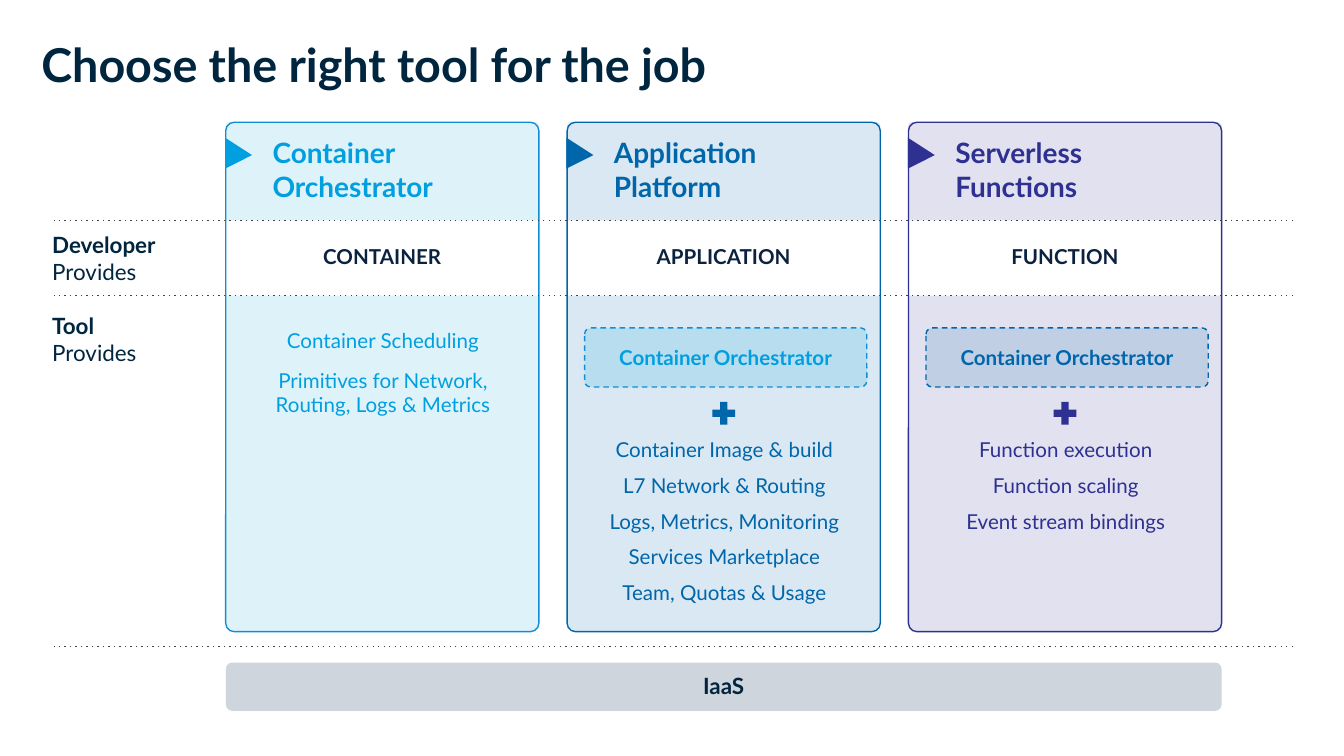
"""Build a slide comparing container, application and function platforms."""
from lxml import etree
from pptx import Presentation
from pptx.dml.color import RGBColor
from pptx.enum import dml, shapes, text
from pptx.oxml.ns import qn
from pptx.util import Inches, Pt

COLORS = {
    "ink": "00253E", "navy": "0B223F", "rule": "434343", "gray": "CFD5DD",
    "sky": "009FDF", "sky_line": "128DD3", "blue": "0066AB", "purple": "2E3092",
}
TITLE = "Choose the right tool for the job"
COLUMNS = [
    {"heading": ["Container", "Orchestrator"], "provides": "CONTAINER",
     "color": "sky", "line": "sky_line", "opacity": 13, "base": None,
     "items": ["Container Scheduling", "Primitives for Network, Routing, Logs & Metrics"],
     "items_box": (0.18, 2.34, 1.98, 0.34), "gap": 8},
    {"heading": ["Application\vPlatform"], "provides": "APPLICATION",
     "color": "blue", "line": "blue", "opacity": 15, "base": ("sky", "sky_line", 15),
     "items": ["Container Image & build", "L7 Network & Routing", "Logs, Metrics, Monitoring",
               "Services Marketplace", "Team, Quotas & Usage"],
     "items_box": (0.06, 3.15, 2.22, 0.34), "gap": 6},
    {"heading": ["Serverless Functions"], "provides": "FUNCTION",
     "color": "purple", "line": "purple", "opacity": 14, "base": ("blue", "blue", 14),
     "items": ["Function execution", "Function scaling", "Event stream bindings"],
     "items_box": (0.06, 3.15, 2.22, 0.34), "gap": 6},
]
BASE_LABEL = "Container Orchestrator"
ROW_LABELS = [("Developer", 1.62), ("Tool", 2.22)]
ROW_VERB = "Provides"
FOUNDATION = "IaaS"
RULES = [1.64, 2.2, 4.81]
LEFT, PITCH, WIDTH = 1.68, 2.54, 2.33
TOP, BOTTOM = 0.91, 4.7

presentation = Presentation()
presentation.slide_width, presentation.slide_height = Inches(10), Inches(10 * 9 / 16)
slide = presentation.slides.add_slide(presentation.slide_layouts[6])


def rgb(name):
    return RGBColor.from_string(COLORS[name])


def write(shape, lines, size, color, bold=False, align=text.PP_ALIGN.LEFT, gap=0,
          anchor=text.MSO_ANCHOR.TOP, inset=(0.1, 0.1)):
    frame = shape.text_frame
    frame.word_wrap = True
    frame.vertical_anchor = anchor
    frame.margin_left = frame.margin_right = Inches(inset[0])
    frame.margin_top = frame.margin_bottom = Inches(inset[1])
    for index, line in enumerate(lines):
        paragraph = frame.paragraphs[0] if index == 0 else frame.add_paragraph()
        paragraph.text = line
        paragraph.alignment = align
        if index and gap:
            paragraph.space_before = Pt(gap)
        font = paragraph.font
        font.name, font.size, font.bold = "Lato", Pt(size), bold
        font.color.rgb = rgb(color)
    return frame


def add_text(box, lines, size, color, **options):
    return write(slide.shapes.add_textbox(*map(Inches, box)), lines, size, color, **options)


def add_shape(kind, box, fill=None, opacity=100, line=None, dash=None, adjust=()):
    shape = slide.shapes.add_shape(kind, *map(Inches, box))
    shape.shadow.inherit = False
    for index, value in enumerate(adjust):
        shape.adjustments[index] = value
    if fill:
        shape.fill.solid()
        shape.fill.fore_color.rgb = rgb(fill)
        if opacity < 100:
            color = shape._element.spPr.find(qn("a:solidFill"))[0]
            etree.SubElement(color, qn("a:alpha"), val=str(opacity * 1000))
    else:
        shape.fill.background()
    if line:
        shape.line.color.rgb = rgb(line)
        shape.line.width = Pt(0.75)
        if dash:
            shape.line.dash_style = dash
    else:
        shape.line.fill.background()
    return shape


def write_label(shape, label, size, color, inset=(0.1, 0.05)):
    return write(shape, [label], size, color, bold=True, align=text.PP_ALIGN.CENTER,
                 anchor=text.MSO_ANCHOR.MIDDLE, inset=inset)


def add_rule(y):
    rule = slide.shapes.add_connector(
        shapes.MSO_CONNECTOR.STRAIGHT, Inches(9.62), Inches(y), Inches(0.4), Inches(y))
    rule.line.color.rgb = rgb("rule")
    rule.line.width = Pt(0.75)
    properties = rule._element.spPr
    etree.SubElement(properties.find(qn("a:ln")), qn("a:prstDash"), val="dot")
    etree.SubElement(properties, qn("a:effectLst"))


def add_column(left, column):
    kinds = shapes.MSO_SHAPE
    color = column["color"]
    for top, bottom, turn in ((RULES[1], BOTTOM, 180), (TOP, RULES[0], 0)):
        panel = add_shape(kinds.ROUND_2_SAME_RECTANGLE, (left, top, WIDTH, bottom - top),
                          color, column["opacity"], adjust=(0.034, 0))
        panel.rotation = turn
    add_shape(kinds.ROUNDED_RECTANGLE, (left, TOP, WIDTH, BOTTOM - TOP),
              line=column["line"], adjust=(0.027,))
    marker = add_shape(kinds.ISOSCELES_TRIANGLE, (left - 0.02, 1.04, 0.23, 0.2),
                       color, adjust=(0.563,))
    marker.rotation = 90
    add_text((left + 0.25, TOP, 1.83, 0.55), column["heading"], 15, color, bold=True)
    provided = add_shape(kinds.ROUNDED_RECTANGLE, (left + 0.25, 1.75, 1.83, 0.32), adjust=(0.5,))
    write_label(provided, column["provides"], 11, "navy")
    if column["base"]:
        base_color, base_line, opacity = column["base"]
        base = add_shape(kinds.ROUNDED_RECTANGLE, (left + 0.13, 2.44, 2.1, 0.44), base_color,
                         opacity, base_line, dml.MSO_LINE.DASH, (0.105,))
        write_label(base, BASE_LABEL, 11, base_color)
        add_shape(kinds.MATH_PLUS, (left + 1.05, 2.96, 0.23, 0.23), color, adjust=(0.235,))
    offset, *rest = column["items_box"]
    add_text((left + offset, *rest), column["items"], 11, color,
             align=text.PP_ALIGN.CENTER, gap=column["gap"])


add_text((0.21, 0.17, 7.34, 0.43), [TITLE], 25, "ink", bold=True)
for number, column in enumerate(COLUMNS):
    add_column(LEFT + number * PITCH, column)
for y in RULES:
    add_rule(y)
for label, top in ROW_LABELS:
    frame = add_text((0.29, top, 1.14, 0.55), [label, ROW_VERB], 12, "ink")
    frame.paragraphs[0].font.bold = True
foundation = add_shape(shapes.MSO_SHAPE.ROUNDED_RECTANGLE,
                       (LEFT, 4.93, 2 * PITCH + WIDTH, 0.36), "gray", adjust=(0.136,))
frame = write_label(foundation, FOUNDATION, 12, "ink", inset=(0, 0))
frame.margin_bottom = Inches(0.01)

presentation.save("out.pptx")
